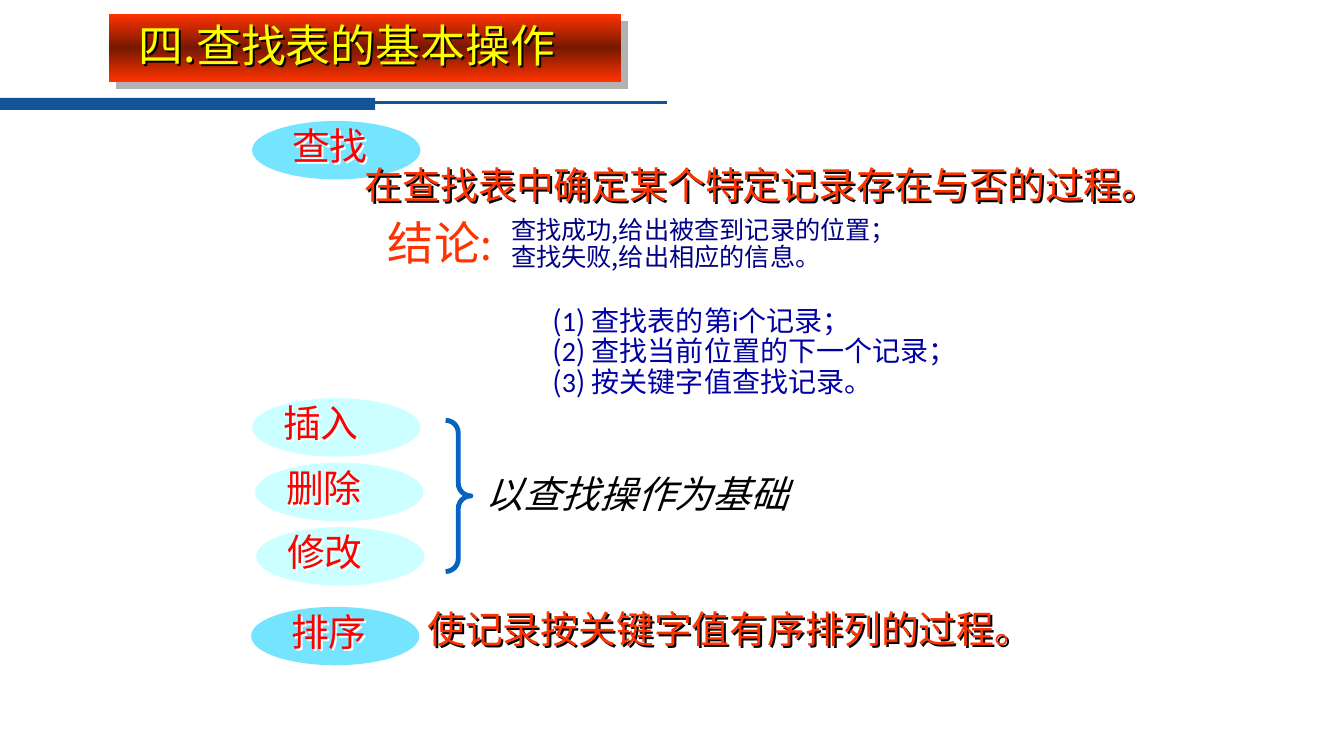
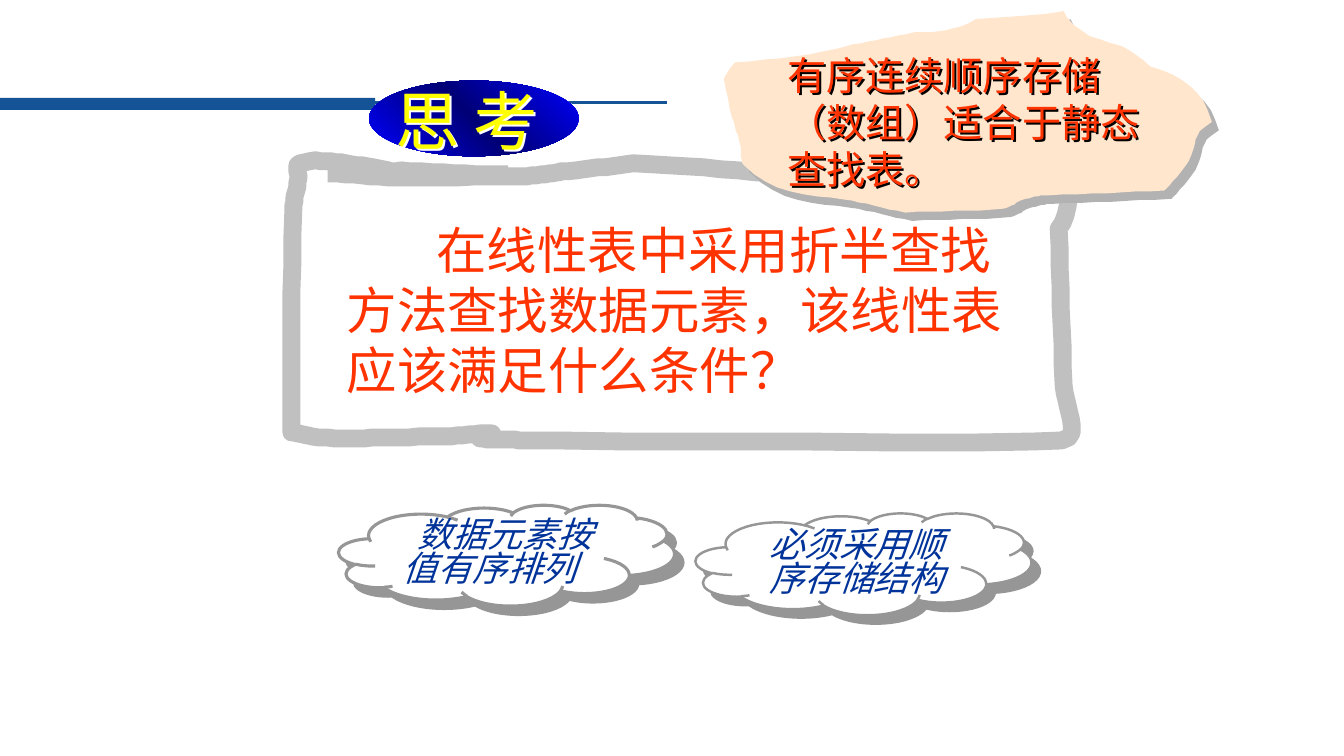
from copy import deepcopy

from lxml import etree
from pptx import Presentation
from pptx.dml.color import RGBColor
from pptx.enum.shapes import MSO_CONNECTOR, MSO_SHAPE
from pptx.oxml.ns import qn
from pptx.util import Pt

EMU_PER_PX = 9144
RECTANGLE = MSO_SHAPE.RECTANGLE
OVAL = MSO_SHAPE.OVAL
CLOUD = MSO_SHAPE.CLOUD
RIGHT_BRACE = MSO_SHAPE.RIGHT_BRACE
STRAIGHT = MSO_CONNECTOR.STRAIGHT

CJK = "Noto Sans CJK SC"
CJK_JP = "Noto Sans CJK JP"
LATIN = "Calibri"

BAND_BLUE = "145396"
BRACE_BLUE = "0563C1"
NAVY = "000084"
LIST_BLUE = "0000A2"
CLOUD_BLUE = "003399"
RED = "FF0000"
ORANGE = "FF3300"
YELLOW = "FFFF00"
SKY = "75E5FF"
PALE_SKY = "CCFFFF"
PEACH = "FFE6CD"
WHITE = "FFFFFF"
BLACK = "000000"
FRAME_GREY = "C0C0C0"
CLOUD_GREY = "969696"
SHADOW_GREY = "B2B2B2"

FRAME_START = (325, 172)
FRAME_CURVES = [
    (348, 173, 369, 175, 393, 176), (435, 175, 477, 176, 519, 175),
    (528, 174, 548, 172, 548, 172), (565, 169, 543, 172, 572, 169),
    (591, 167, 609, 164, 628, 162), (675, 163, 720, 169, 767, 172),
    (837, 181, 781, 175, 935, 173), (960, 171, 990, 170, 1015, 163),
    (1036, 165, 1039, 166, 1062, 165), (1062, 179, 1062, 212, 1050, 227),
    (1052, 279, 1053, 331, 1055, 383), (1054, 401, 1076, 432, 1053, 437),
    (1033, 441, 562, 437, 519, 437), (507, 436, 496, 436, 484, 436),
    (481, 435, 477, 436, 475, 434), (473, 432, 489, 430, 488, 430),
    (472, 430, 457, 432, 442, 433), (418, 433, 393, 434, 369, 434),
    (349, 436, 329, 435, 309, 433), (302, 431, 296, 430, 289, 429),
    (289, 355, 289, 281, 291, 208), (291, 198, 295, 187, 296, 177),
    (297, 172, 292, 164, 298, 162), (310, 157, 325, 161, 338, 161),
    (352, 163, 366, 166, 380, 168), (396, 172, 380, 168, 418, 170),
    (447, 172, 475, 173, 504, 173),
]
NOTE_START = (907, 32)
NOTE_CURVES = [
    (886, 36, 868, 41, 846, 44), (808, 56, 769, 58, 729, 62),
    (714, 82, 717, 72, 724, 109), (727, 120, 731, 131, 734, 143),
    (736, 150, 733, 158, 738, 164), (762, 191, 804, 194, 837, 198),
    (857, 201, 877, 207, 898, 211), (930, 209, 963, 210, 996, 207),
    (1003, 206, 1008, 200, 1015, 198), (1022, 196, 1030, 194, 1038, 194),
    (1077, 192, 1116, 191, 1155, 189), (1158, 186, 1176, 166, 1179, 160),
    (1190, 140, 1179, 135, 1202, 121), (1194, 90, 1174, 76, 1141, 66),
    (1119, 45, 1109, 45, 1081, 36), (1022, 0, 1108, 12, 968, 19),
    (949, 31, 930, 32, 907, 32),
]


def px(value):
    return int(value * EMU_PER_PX)


def color(value):
    return RGBColor.from_string(value)


def set_shadow(shape, shadow_color, distance, angle=45):
    shape.shadow.inherit = False
    effects = shape._element.spPr.find(qn("a:effectLst"))
    shadow = etree.SubElement(
        effects, qn("a:outerShdw"), dist=str(Pt(distance)),
        dir=str(angle * 60000), algn="ctr", rotWithShape="0")
    etree.SubElement(shadow, qn("a:srgbClr"), val=shadow_color)


def set_style(shape, fill=None, line=None, line_width=1):
    shape.shadow.inherit = False
    if fill:
        shape.fill.solid()
        shape.fill.fore_color.rgb = color(fill)
    else:
        shape.fill.background()
    if line:
        shape.line.color.rgb = color(line)
        shape.line.width = Pt(line_width)
    else:
        shape.line.fill.background()


def add_shape(slide, kind, box, **style):
    shape = slide.shapes.add_shape(kind, *map(px, box))
    set_style(shape, **style)
    return shape


def set_gradient(shape, edge, middle, angle):
    fill = shape.fill
    fill.gradient()
    fill.gradient_angle = angle
    stops = fill.gradient_stops
    for stop, stop_color, position in zip(stops, (edge, middle), (0, 0.5)):
        stop.color.rgb = color(stop_color)
        stop.position = position
    stop_list = shape._element.spPr.find(".//" + qn("a:gsLst"))
    last_stop = deepcopy(stop_list[0])
    last_stop.set("pos", "100000")
    stop_list.append(last_stop)


def format_run(run, size, font_color, font, italic):
    run.font.size = Pt(size)
    run.font.name = font
    run.font.italic = italic
    run.font.color.rgb = color(font_color)
    east_asian = CJK if font == LATIN else font
    etree.SubElement(run.font._element, qn("a:ea"), typeface=east_asian)


def add_text(slide, box, lines, size, font_color, font=CJK, italic=False,
             spacing=1.0, first_indent=0, shadow=None):
    text_box = slide.shapes.add_textbox(*map(px, box))
    frame = text_box.text_frame
    frame.word_wrap = True
    for index, line in enumerate(lines):
        paragraph = frame.paragraphs[0] if index == 0 else frame.add_paragraph()
        paragraph.line_spacing = spacing
        if index == 0 and first_indent:
            paragraph._p.get_or_add_pPr().set("indent", str(px(first_indent)))
        parts = [(line, font)] if isinstance(line, str) else line
        for text, part_font in parts:
            run = paragraph.add_run()
            run.text = text
            format_run(run, size, font_color, part_font, italic)
    if shadow:
        set_shadow(text_box, shadow, 2)
    return text_box


def add_band(slide):
    add_shape(slide, RECTANGLE, (0, 97, 372, 12), fill=BAND_BLUE)
    line = slide.shapes.add_connector(STRAIGHT, px(368), px(102), px(662), px(102))
    line.line.color.rgb = color(BAND_BLUE)
    line.line.width = Pt(2.25)
    etree.SubElement(line._element.spPr, qn("a:effectLst"))


def add_operation(slide, left, top, name, fill, text_offset):
    add_shape(slide, OVAL, (left, top, 167, 58), fill=fill)
    add_text(slide, (left + text_offset, top - 3, 136, 55), [name], 27, RED,
             shadow=WHITE)


def add_cloud(slide, box, line_width, text_box, lines, first_indent=0):
    cloud = add_shape(slide, CLOUD, box, fill=WHITE, line=CLOUD_GREY,
                      line_width=line_width)
    set_shadow(cloud, CLOUD_GREY, 8.5)
    add_text(slide, text_box, lines, 25, CLOUD_BLUE, italic=True, spacing=0.8,
             first_indent=first_indent)


def curve_points(start, curves, steps=8):
    x0, y0 = start
    points = []
    for x1, y1, x2, y2, x3, y3 in curves:
        for step in range(1, steps + 1):
            t = step / steps
            u = 1 - t
            weights = (u ** 3, 3 * u * u * t, 3 * u * t * t, t ** 3)
            points.append((
                sum(w * x for w, x in zip(weights, (x0, x1, x2, x3))),
                sum(w * y for w, y in zip(weights, (y0, y1, y2, y3)))))
        x0, y0 = x3, y3
    return points


def add_outline(slide, start, curves, close, **style):
    builder = slide.shapes.build_freeform(*start, scale=EMU_PER_PX)
    builder.add_line_segments(curve_points(start, curves), close=close)
    outline = builder.convert_to_shape()
    set_style(outline, **style)
    return outline


def build_operations(slide):
    add_band(slide)
    queries = ["查找表的第", "查找当前位置的下一个记录；", "按关键字值查找记录。"]
    lines = [[("(", CJK), (str(number), LATIN), (") " + query, CJK)]
             for number, query in enumerate(queries, 1)]
    lines[0] += [("i", LATIN), ("个记录；", CJK)]
    add_text(slide, (538, 300, 625, 101), lines, 20, LIST_BLUE, spacing=0.9)

    add_operation(slide, 250, 120, "查找", SKY, 30)
    add_text(slide, (352, 155, 783, 55),
             ["在查找表中确定某个特定记录存在与否的过程。"], 27, ORANGE, shadow=BLACK)
    add_text(slide, (497, 211, 592, 65),
             ["查找成功,给出被查到记录的位置；", "查找失败,给出相应的信息。"],
             18, NAVY, spacing=0.9)
    conclusion = add_text(slide, (375, 208, 166, 65),
                          [[("结论", CJK), (":", CJK)]], 33, ORANGE)
    conclusion.text_frame.paragraphs[0].runs[1].font.size = Pt(30)

    title_bar = add_shape(slide, RECTANGLE, (108, 14, 508, 67))
    set_gradient(title_bar, ORANGE, "761800", 270)
    set_shadow(title_bar, SHADOW_GREY, 7.1)
    add_text(slide, (128, 13, 508, 64), ["四.查找表的基本操作"], 32, YELLOW,
             shadow=BLACK)

    add_operation(slide, 249, 602, "排序", SKY, 30)
    add_text(slide, (414, 596, 636, 55), ["使记录按关键字值有序排列的过程。"],
             27, ORANGE, shadow=BLACK)

    for index, (left, name) in enumerate([(250, "插入"), (253, "删除"), (254, "修改")]):
        add_operation(slide, left, 395 + 64 * index, name, PALE_SKY, 21)
    brace = add_shape(slide, RIGHT_BRACE, (442, 417, 25, 150), line=BRACE_BLUE,
                      line_width=3.5)
    brace.adjustments[0] = 0.5
    add_text(slide, (472, 462, 361, 55), ["以查找操作为基础"], 27, BLACK, italic=True)


def build_question(slide):
    add_band(slide)
    add_outline(slide, FRAME_START, FRAME_CURVES, False, line=FRAME_GREY,
                line_width=12.75)
    add_text(slide, (334, 212, 775, 190),
             ["在线性表中采用折半查找", "方法查找数据元素，该线性表", "应该满足什么条件？"],
             36, ORANGE, first_indent=89)

    add_cloud(slide, (336, 501, 333, 100), 2.25, (389, 512, 275, 77),
              ["数据元素按", "值有序排列"], first_indent=15)
    add_cloud(slide, (690, 509, 333, 101), 1.75, (753, 522, 245, 77),
              ["必须采用顺", "序存储结构"])

    badge = add_shape(slide, OVAL, (366, 80, 208, 75))
    set_gradient(badge, "0000FF", "000076", 45)
    set_shadow(badge, WHITE, 3.6, 34)
    add_text(slide, (382, 76, 222, 87), ["思 考"], 46, YELLOW, shadow=WHITE)

    note = add_outline(slide, NOTE_START, NOTE_CURVES, True, fill=PEACH)
    set_shadow(note, SHADOW_GREY, 7.8, 50)
    add_text(slide, (771, 46, 383, 152),
             ["有序连续顺序存储（数组）适合于静态查找表。"], 28, ORANGE, font=CJK_JP,
             shadow=BLACK)


def main():
    presentation = Presentation()
    presentation.slide_width = px(1333)
    presentation.slide_height = px(750)
    blank = presentation.slide_layouts[6]
    for build in (build_operations, build_question):
        build(presentation.slides.add_slide(blank))
    presentation.save("out.pptx")


if __name__ == "__main__":
    main()
